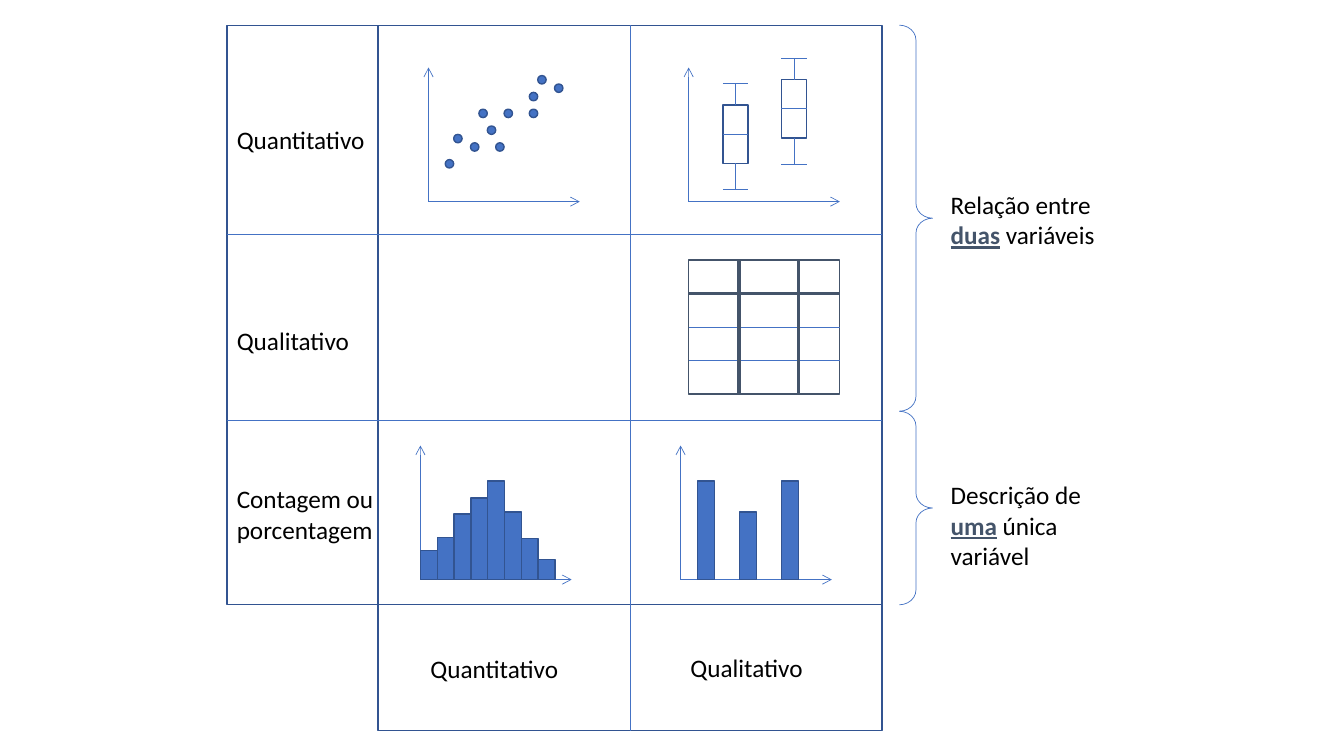
from lxml import etree
from pptx import Presentation
from pptx.dml.color import RGBColor
from pptx.enum import shapes, text
from pptx.oxml import ns
from pptx.util import Inches, Pt

BLUE, EDGE, SLATE, BLACK = "4472C4", "325491", "44546A", "000000"
STEP = 1 / 12


def color(value):
    return RGBColor.from_string(value)


class Canvas:
    """Holds the style and the shape collection being drawn on."""

    font_name = "Calibri"
    font_size = 18

    def __init__(self, slide):
        self.slide = slide
        self.target = slide.shapes

    def start_group(self):
        self.target = self.slide.shapes.add_group_shape().shapes

    def end_group(self):
        self.target = self.slide.shapes

    def shape(self, kind, left, top, width, height, fill=None, line=EDGE, weight=1):
        shape = self.target.add_shape(
            kind, Inches(left), Inches(top), Inches(width), Inches(height))
        shape.shadow.inherit = False
        if fill:
            shape.fill.solid()
            shape.fill.fore_color.rgb = color(fill)
        else:
            shape.fill.background()
        shape.line.color.rgb = color(line)
        shape.line.width = Pt(weight)
        return shape

    def rectangle(self, *box, **style):
        return self.shape(shapes.MSO_SHAPE.RECTANGLE, *box, **style)

    def line(self, x1, y1, x2, y2, line=BLUE, weight=0.5, arrow=False):
        connector = self.target.add_connector(
            shapes.MSO_CONNECTOR.STRAIGHT,
            Inches(x1), Inches(y1), Inches(x2), Inches(y2))
        connector.line.color.rgb = color(line)
        connector.line.width = Pt(weight)
        if arrow:
            etree.SubElement(connector.line._get_or_add_ln(),
                             ns.qn("a:tailEnd"), type="arrow")
        etree.SubElement(connector._element.spPr, ns.qn("a:effectLst"))

    def axes(self, left, bottom):
        self.line(left, bottom, left + 1.5, bottom, arrow=True)
        self.line(left, bottom, left, bottom - 1.33, arrow=True)

    def label(self, left, top, width, height, before, key="", after=""):
        """Adds a text box whose key word is bold and underlined."""
        box = self.target.add_textbox(
            Inches(left), Inches(top), Inches(width), Inches(height))
        frame = box.text_frame
        frame.word_wrap = True
        frame.auto_size = text.MSO_AUTO_SIZE.SHAPE_TO_FIT_TEXT
        paragraph = frame.paragraphs[0]
        paragraph.font.name = self.font_name
        paragraph.font.size = Pt(self.font_size)
        for words in filter(None, (before, key, after)):
            run = paragraph.add_run()
            run.text = words
            run.font.color.rgb = color(SLATE if words == key else BLACK)
            if words == key:
                run.font.bold = run.font.underline = True

    def brace(self, top, height):
        brace = self.shape(shapes.MSO_SHAPE.RIGHT_BRACE, 8.92, top, 0.33, height,
                           line=BLUE, weight=0.5)
        brace.adjustments[0] = 0.447

    def scatter(self, left, bottom, points):
        """Draws dots at points counted in twelfths of an inch from the origin."""
        self.start_group()
        self.axes(left, bottom)
        for x, y in points:
            self.shape(shapes.MSO_SHAPE.OVAL, left + x * STEP, bottom - y * STEP,
                       STEP, STEP, fill=BLUE)
        self.end_group()

    def box_plot(self, left, bottom, boxes):
        self.start_group()
        self.axes(left, bottom)
        for x, top in boxes:
            self.rectangle(x, top, 0.25, 0.58)
            for offset in (0.29, -0.21, 0.84):
                self.line(x, top + offset, x + 0.25, top + offset)
            for start, end in ((-0.21, 0), (0.58, 0.84)):
                self.line(x + 0.125, top + start, x + 0.125, top + end)
        self.end_group()

    def bars(self, left, bottom, first, pitch, heights):
        self.start_group()
        self.axes(left, bottom)
        for index, height in enumerate(heights):
            self.rectangle(first + index * pitch, bottom - height,
                           2 * STEP, height, fill=BLUE)
        self.end_group()

    def table_sketch(self, left, top, width, height):
        self.start_group()
        self.rectangle(left, top, width, height, line=SLATE)
        for row in (1, 2, 3):
            y = top + row * height / 4
            style = {"line": SLATE, "weight": 2.25} if row == 1 else {}
            self.line(left, y, left + width, y, **style)
        for x in (7.33, 7.92):
            self.line(x, top, x, top + height, line=SLATE, weight=2.25)
        self.end_group()


def main():
    presentation = Presentation()
    presentation.slide_width = Inches(13.33)
    presentation.slide_height = Inches(7.5)
    canvas = Canvas(presentation.slides.add_slide(presentation.slide_layouts[6]))

    canvas.scatter(4.25, 2, [(2, 5), (5, 7), (8, 7), (9, 11), (12, 11), (15, 14),
                             (6, 11), (12, 13), (13, 15), (3, 8), (7, 9)])
    canvas.box_plot(6.83, 2, [(7.17, 1.04), (7.75, 0.79)])
    canvas.table_sketch(6.83, 2.58, 1.5, 1.33)

    for frame in ((3.75, 0.25, 5, 5.75), (2.25, 0.25, 1.5, 5.75), (3.75, 6, 5, 1.25)):
        canvas.rectangle(*frame)
    for y in (2.33, 4.17):
        canvas.line(2.25, y, 8.75, y)
    canvas.line(6.25, 7.25, 6.25, 0.25)

    for left, top, name in ((2.25, 1.18, "Quantitativo"), (2.25, 3.18, "Qualitativo"),
                            (4.17, 6.43, "Quantitativo"), (6.75, 6.42, "Qualitativo")):
        canvas.label(left, top, 1.58, 0.4, name)
    canvas.label(2.25, 4.75, 1.58, 0.71, "Contagem ou porcentagem")

    canvas.bars(4.17, 5.75, 4.17, 2 * STEP,
                [0.29, 0.42, 0.65, 0.81, 0.98, 0.67, 0.41, 0.2])
    canvas.bars(6.75, 5.75, 6.92, 5 * STEP, [0.98, 0.67, 0.98])

    canvas.brace(0.25, 3.83)
    canvas.label(9.33, 1.83, 1.83, 0.71, "Relação entre ", "duas", " variáveis")
    canvas.brace(4.08, 1.92)
    canvas.label(9.33, 4.71, 1.83, 1.01, "Descrição de ", "uma", " única variável")

    presentation.save("out.pptx")


if __name__ == "__main__":
    main()
